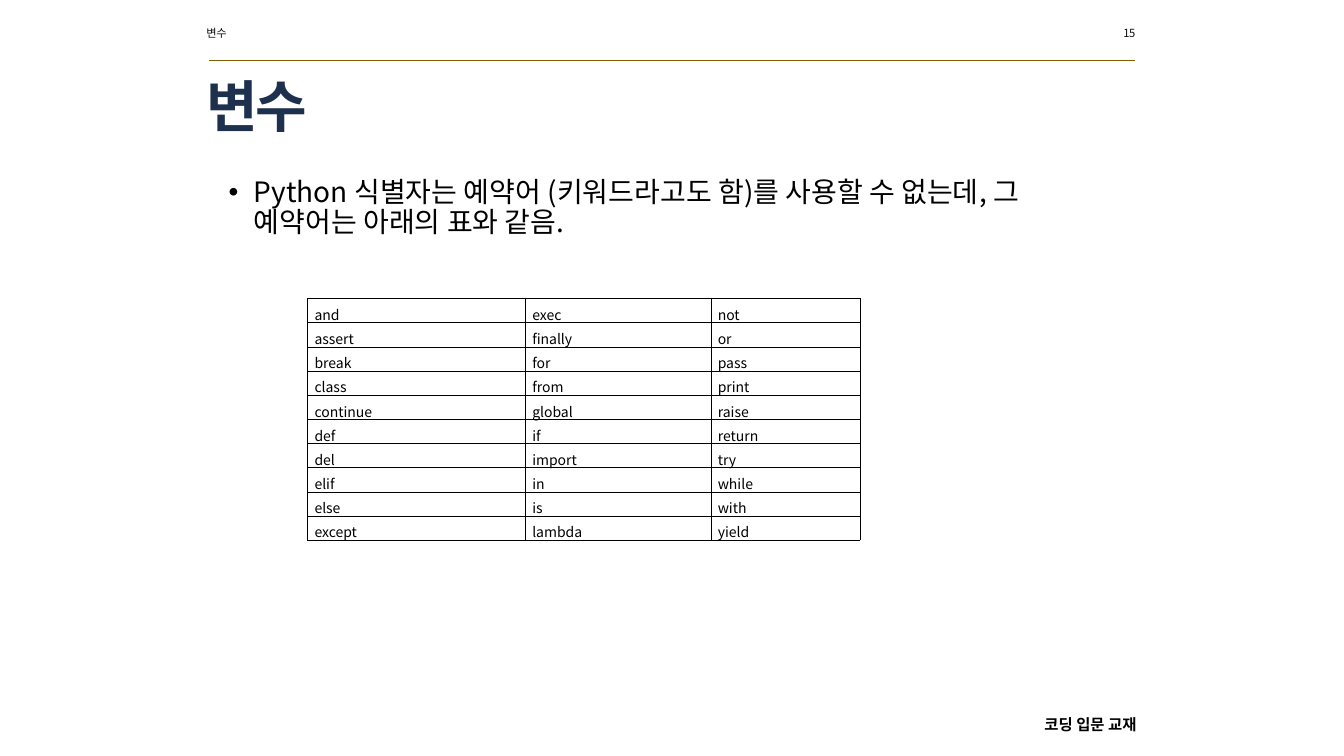
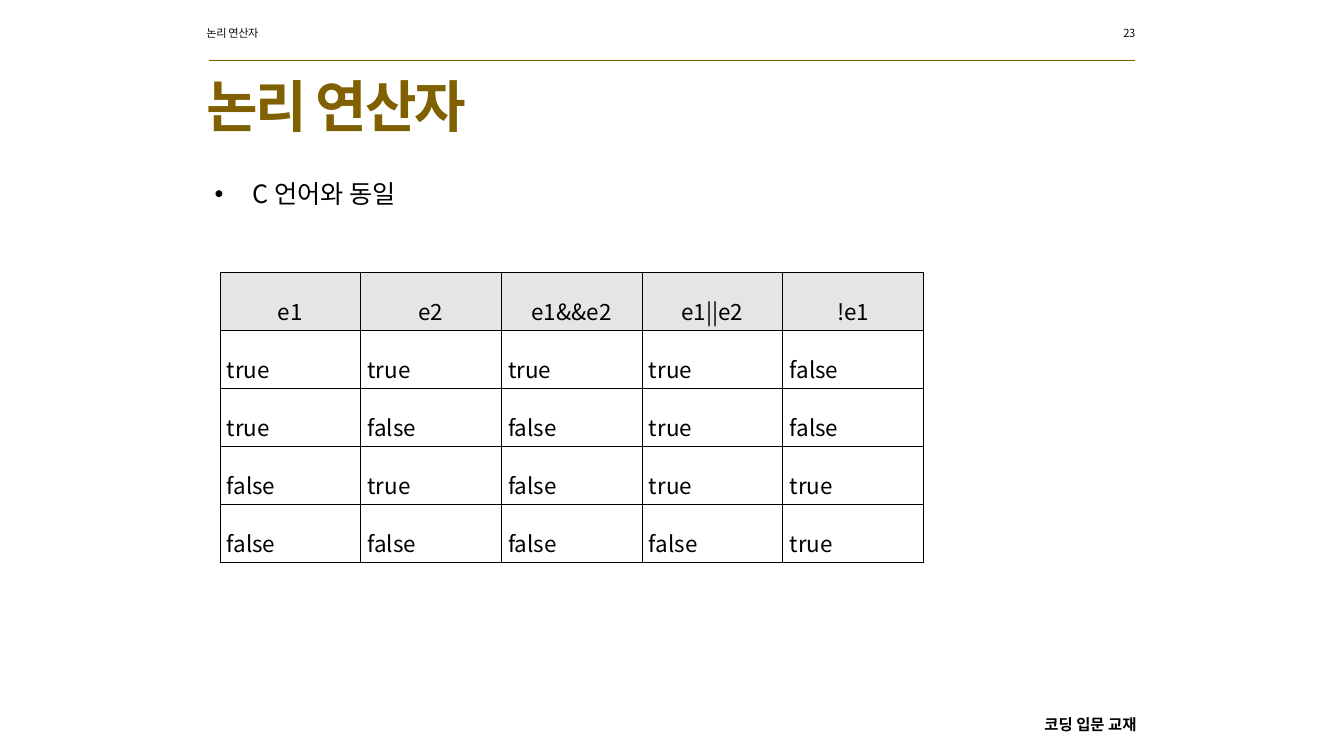
from lxml.etree import SubElement
from pptx import Presentation
from pptx.dml.color import RGBColor
from pptx.enum.shapes import MSO_CONNECTOR
from pptx.enum.text import MSO_ANCHOR, PP_ALIGN
from pptx.oxml.ns import qn
from pptx.util import Inches, Pt

FONT = "Noto Sans CJK KR"
BLACK, INK, NAVY, GOLD, GREY = "000000", "0D0D0D", "1D314E", "806000", "E5E5E5"
FOOTER = "코딩 입문 교재"

KEYWORD_COLUMNS = [
    "and assert break class continue def del elif else except".split(),
    "exec finally for from global if import in is lambda".split(),
    "not or pass print raise return try while with yield".split(),
]
TRUTH_ROWS = [
    ["e1", "e2", "e1&&e2", "e1||e2", "!e1"],
    ["true", "true", "true", "true", "false"],
    ["true", "false", "false", "true", "false"],
    ["false", "true", "false", "true", "true"],
    ["false", "false", "false", "false", "true"],
]


def rgb(color):
    return RGBColor.from_string(color)


def style(p, size, color=BLACK, bold=False, align=PP_ALIGN.LEFT, leading=None, tracking=0):
    """Format a whole paragraph; tracking is in points."""
    p.alignment = align
    if leading:
        p.line_spacing = leading
    font = p.font
    font.size, font.bold = Pt(size), bold
    font.color.rgb = rgb(color)
    font.name = FONT
    props = p._p.pPr.find(qn("a:defRPr"))
    SubElement(props, qn("a:ea"), typeface=FONT)
    if tracking:
        props.set("spc", str(round(tracking * 100)))


def add_text(slide, text, at, size, anchor=MSO_ANCHOR.TOP, indent=0, **look):
    """Add a text box; an indent makes its paragraph a bullet."""
    tf = slide.shapes.add_textbox(*map(Inches, at)).text_frame
    tf.word_wrap = True
    tf.vertical_anchor = anchor
    p = tf.paragraphs[0]
    p.text = text
    if indent:
        props = p._p.get_or_add_pPr()
        props.set("marL", str(Inches(indent)))
        props.set("indent", str(-Inches(indent)))
        SubElement(props, qn("a:buFont"), typeface="Arial")
        SubElement(props, qn("a:buChar"), char="•")
    style(p, size, **look)


def add_rule(slide):
    line = slide.shapes.add_connector(
        MSO_CONNECTOR.STRAIGHT, Inches(2.07), Inches(0.6), Inches(11.26), Inches(0.6))
    line.line.color.rgb = rgb(GOLD)
    line.line.width = Pt(0.25)
    SubElement(line._element.spPr, qn("a:effectLst"))


def add_borders(cell):
    props = cell._tc.get_or_add_tcPr()
    for side in ("lnL", "lnR", "lnT", "lnB"):
        ln = SubElement(props, qn(f"a:{side}"), w=str(Pt(0.28)))
        fill = SubElement(ln, qn("a:solidFill"))
        SubElement(fill, qn("a:srgbClr"), val=BLACK)


def add_table(slide, rows, at, widths, size, leading, header=False):
    frame = slide.shapes.add_table(len(rows), len(widths), *map(Inches, at))
    table = frame.table
    table.first_row = header
    table.horz_banding = False
    for column, width in zip(table.columns, widths):
        column.width = Inches(width)
    for i, row in enumerate(rows):
        is_header = header and i == 0
        for j, text in enumerate(row):
            cell = table.cell(i, j)
            cell.margin_left = cell.margin_right = Inches(0.07)
            cell.margin_top = cell.margin_bottom = Inches(0.02)
            cell.vertical_anchor = MSO_ANCHOR.MIDDLE
            add_borders(cell)
            if is_header:
                cell.fill.solid()
                cell.fill.fore_color.rgb = rgb(GREY)
            else:
                cell.fill.background()
            p = cell.text_frame.paragraphs[0]
            p.text = text
            align = PP_ALIGN.CENTER if is_header else PP_ALIGN.JUSTIFY
            style(p, size, align=align, leading=leading)


def add_slide(prs, title, number, title_color):
    """Add a slide with the shared header, rule, title and footer."""
    slide = prs.slides.add_slide(prs.slide_layouts[6])
    add_text(slide, title, (1.95, 0.21, 1.73, 0.24), 8, color=INK, tracking=-0.3)
    add_text(slide, str(number), (9.63, 0.21, 1.73, 0.24), 8, color=INK,
             align=PP_ALIGN.RIGHT, tracking=-0.3)
    add_rule(slide)
    add_text(slide, title, (1.95, 0.72, 9.27, 0.73), 40, anchor=MSO_ANCHOR.MIDDLE,
             color=title_color, bold=True, leading=0.9, tracking=-1.5)
    add_text(slide, FOOTER, (10.26, 7.05, 1.41, 0.29), 11, bold=True)
    return slide


def add_variables_slide(prs):
    slide = add_slide(prs, "변수", 15, NAVY)
    add_text(slide, "Python 식별자는 예약어 (키워드라고도 함)를 사용할 수 없는데, "
             "그 예약어는 아래의 표와 같음.",
             (2.17, 1.72, 9, 1.14), 20, indent=0.25, leading=0.9)
    add_table(slide, list(zip(*KEYWORD_COLUMNS)), (3.05, 2.96, 5.48, 2.39),
              [2.16, 1.84, 1.48], size=10, leading=1.2)


def add_logic_slide(prs):
    slide = add_slide(prs, "논리 연산자", 23, GOLD)
    add_text(slide, "C 언어와 동일", (2.03, 1.72, 9.26, 0.54), 18, indent=0.38)
    add_table(slide, TRUTH_ROWS, (2.18, 2.7, 6.98, 2.88), [6.98 / 5] * 5,
              size=16, leading=1.6, header=True)


def main():
    prs = Presentation()
    prs.slide_width, prs.slide_height = Inches(13.33), Inches(7.5)
    add_variables_slide(prs)
    add_logic_slide(prs)
    prs.save("out.pptx")


if __name__ == "__main__":
    main()
